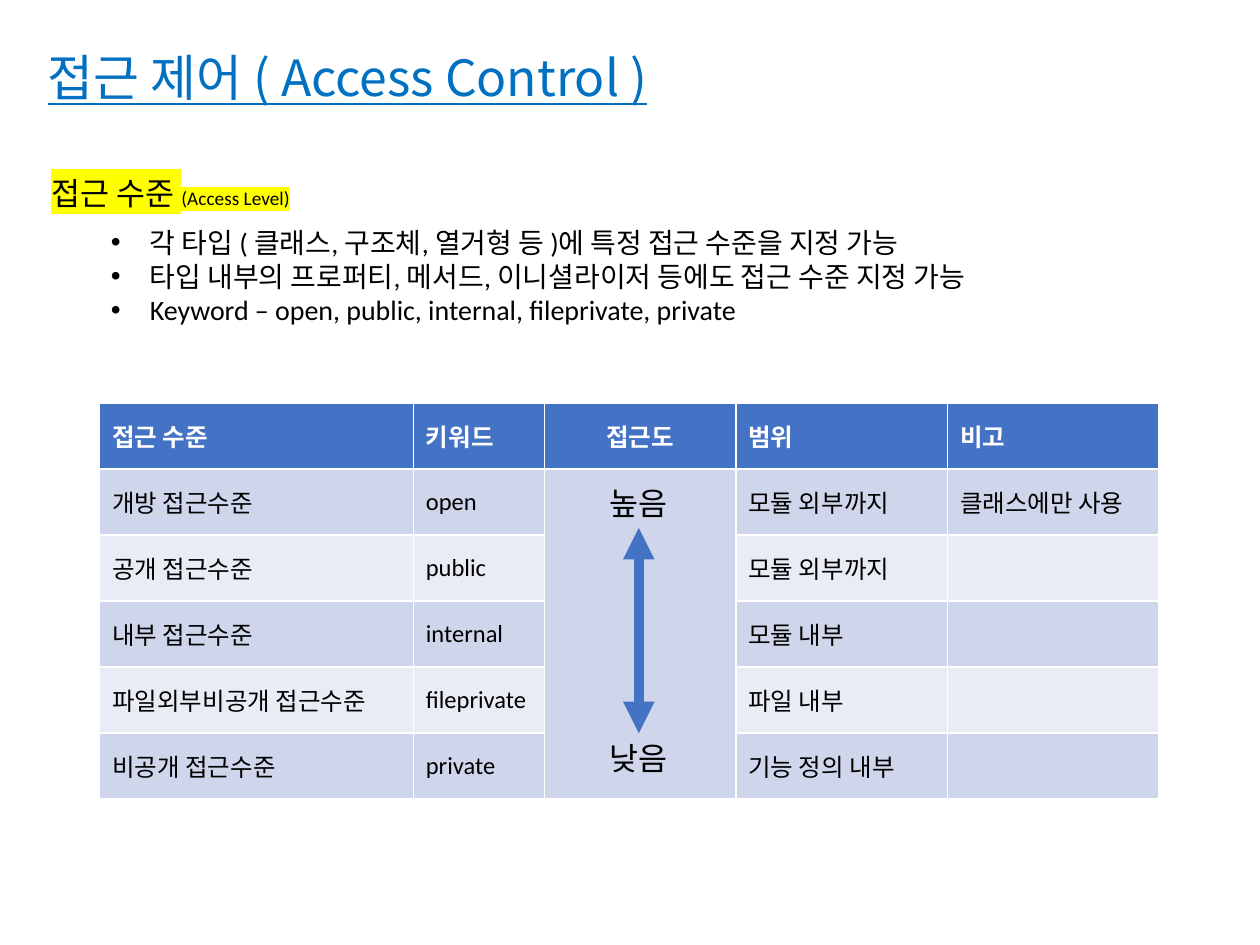
from lxml.etree import SubElement
from pptx import Presentation
from pptx.dml.color import RGBColor
from pptx.enum.shapes import MSO_CONNECTOR
from pptx.enum.text import MSO_ANCHOR, MSO_AUTO_SIZE, PP_ALIGN
from pptx.oxml.ns import qn
from pptx.util import Inches, Pt

TITLE = "접근 제어 ( Access Control )"
HEADING = [("접근 수준 ", 18), ("(Access Level)", 11)]
BULLETS = [
    "각 타입 ( 클래스, 구조체, 열거형 등 )에 특정 접근 수준을 지정 가능",
    "타입 내부의 프로퍼티, 메서드, 이니셜라이저 등에도 접근 수준 지정 가능",
    "Keyword – open, public, internal, fileprivate, private",
]
ROWS = [
    ("접근 수준", "키워드", "접근도", "범위", "비고"),
    ("개방 접근수준", "open", "", "모듈 외부까지", "클래스에만 사용"),
    ("공개 접근수준", "public", "", "모듈 외부까지", ""),
    ("내부 접근수준", "internal", "", "모듈 내부", ""),
    ("파일외부비공개 접근수준", "fileprivate", "", "파일 내부", ""),
    ("비공개 접근수준", "private", "", "기능 정의 내부", ""),
]
COLUMN_WIDTHS = [2.49, 1.04, 1.52, 1.68, 1.68]
ROW_HEIGHT = 3.14 / len(ROWS)
ACCESS_COLUMN = 2
SCALE_LABELS = [("높음", 3.79), ("낮음", 5.82)]
SCALE_LEFT, SCALE_WIDTH, LABEL_HEIGHT = 4.42, 1.3, 0.4
BLUE, BLACK, WHITE = "4472C4", "000000", "FFFFFF"
BANDS = ["E9EBF5", "CFD5EA"]


def color(hex_string):
    return RGBColor.from_string(hex_string)


def style(span, size, hex_string=BLACK, font="Calibri", bold=False):
    span.font.size = Pt(size)
    span.font.name = font
    span.font.bold = bold
    span.font.color.rgb = color(hex_string)


def highlight(span, hex_string):
    marker = SubElement(span.font._element, qn("a:highlight"))
    SubElement(marker, qn("a:srgbClr"), val=hex_string)
    span.font._element.find(qn("a:solidFill")).addnext(marker)


def place(shape, left, top, width, height):
    shape.left, shape.top = Inches(left), Inches(top)
    shape.width, shape.height = Inches(width), Inches(height)


def add_text_box(left, top, width, height):
    box = slide.shapes.add_textbox(*map(Inches, (left, top, width, height)))
    box.text_frame.word_wrap = True
    return box.text_frame


deck = Presentation()
deck.slide_width, deck.slide_height = Inches(10), Inches(7.5)
slide = deck.slides.add_slide(deck.slide_layouts[1])

# Title
title = slide.shapes.title
place(title, 0.31, 0.25, 9.07, 0.64)
frame = title.text_frame
frame.text = TITLE
frame.auto_size = MSO_AUTO_SIZE.NONE
frame.vertical_anchor = MSO_ANCHOR.BOTTOM
frame.margin_left = frame.margin_right = Inches(0.07)
frame.margin_top = frame.margin_bottom = Inches(0.04)
para = frame.paragraphs[0]
para.alignment = PP_ALIGN.LEFT
para.line_spacing = 0.9
style(para.runs[0], 28.5, "0070C0", "Noto Sans CJK KR")
para.runs[0].font.underline = True

# Highlighted heading
para = add_text_box(0.31, 1.33, 2.24, 0.4).paragraphs[0]
for text, size in HEADING:
    span = para.add_run()
    span.text = text
    style(span, size)
    highlight(span, "FFFF00")

# Bullet list
body = slide.placeholders[1]
place(body, 0.78, 1.74, 7.71, 0.91)
body.text_frame.text = "\n".join(BULLETS)
body.text_frame.auto_size = MSO_AUTO_SIZE.NONE
for para in body.text_frame.paragraphs:
    para.space_before = Pt(0)
    properties = para._p.get_or_add_pPr()
    properties.set("marL", str(Inches(0.31)))
    properties.set("indent", str(-Inches(0.31)))
    SubElement(properties, qn("a:buFont"), typeface="Arial")
    SubElement(properties, qn("a:buChar"), char="•")
    style(para.runs[0], 16)

# Access level table
table = slide.shapes.add_table(
    len(ROWS), len(COLUMN_WIDTHS), Inches(0.79), Inches(3.2),
    Inches(sum(COLUMN_WIDTHS)), Inches(ROW_HEIGHT * len(ROWS))).table
for column, width in zip(table.columns, COLUMN_WIDTHS):
    column.width = Inches(width)
for row_index, row in enumerate(ROWS):
    is_header = row_index == 0
    table.rows[row_index].height = Inches(ROW_HEIGHT)
    for column_index, text in enumerate(row):
        cell = table.cell(row_index, column_index)
        cell.fill.solid()
        cell.fill.fore_color.rgb = color(BLUE if is_header else BANDS[row_index % 2])
        cell.vertical_anchor = MSO_ANCHOR.MIDDLE
        if text:
            cell.text = text
            para = cell.text_frame.paragraphs[0]
            style(para.runs[0], 14, WHITE if is_header else BLACK, bold=is_header)
            if column_index == ACCESS_COLUMN:
                para.alignment = PP_ALIGN.CENTER
table.cell(1, ACCESS_COLUMN).merge(table.cell(len(ROWS) - 1, ACCESS_COLUMN))

# High-to-low scale over the merged cell
for text, top in SCALE_LABELS:
    para = add_text_box(SCALE_LEFT, top, SCALE_WIDTH, LABEL_HEIGHT).paragraphs[0]
    para.text = text
    para.alignment = PP_ALIGN.CENTER
    style(para.runs[0], 18)
center = Inches(SCALE_LEFT + SCALE_WIDTH / 2)
arrow = slide.shapes.add_connector(
    MSO_CONNECTOR.STRAIGHT, center, Inches(SCALE_LABELS[0][1] + LABEL_HEIGHT),
    center, Inches(SCALE_LABELS[1][1]))
arrow.line.color.rgb = color(BLUE)
arrow.line.width = Pt(6)
for end in ("a:headEnd", "a:tailEnd"):
    SubElement(arrow.line._get_or_add_ln(), qn(end), type="triangle")
SubElement(arrow._element.spPr, qn("a:effectLst"))

deck.save("out.pptx")
